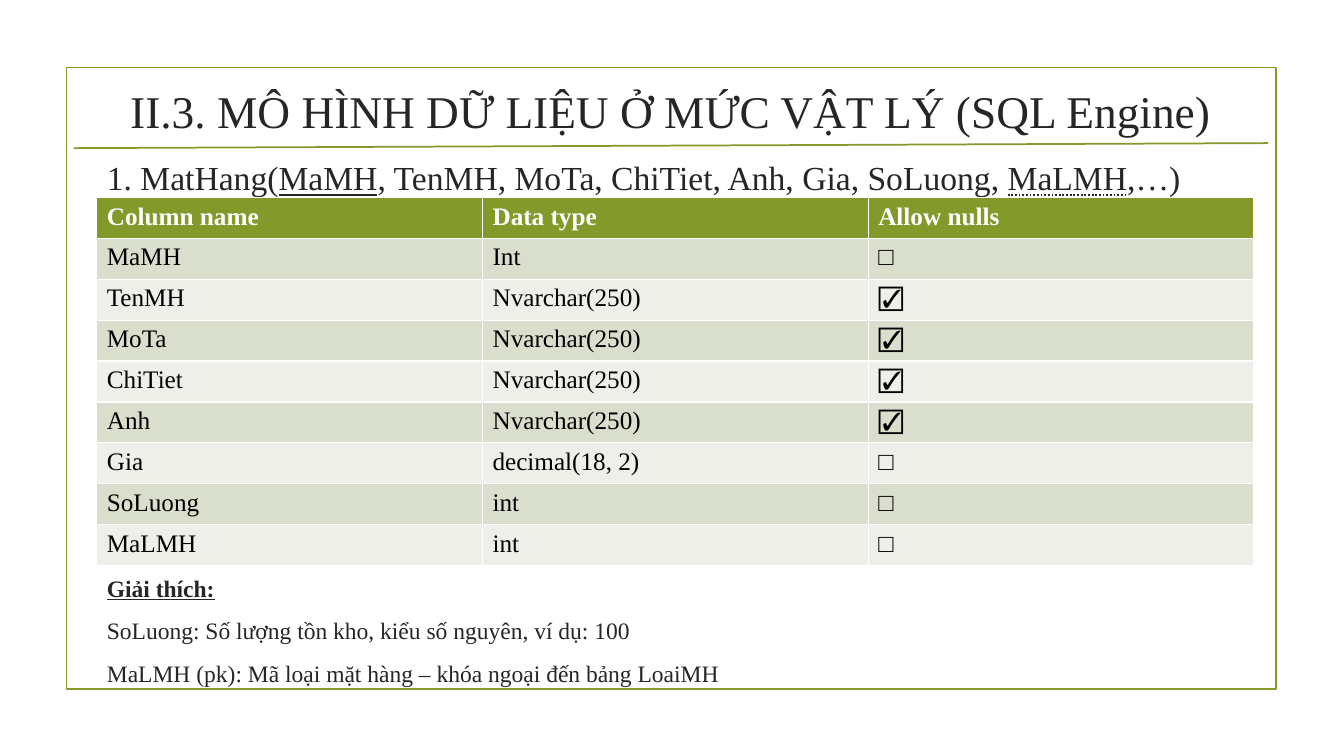
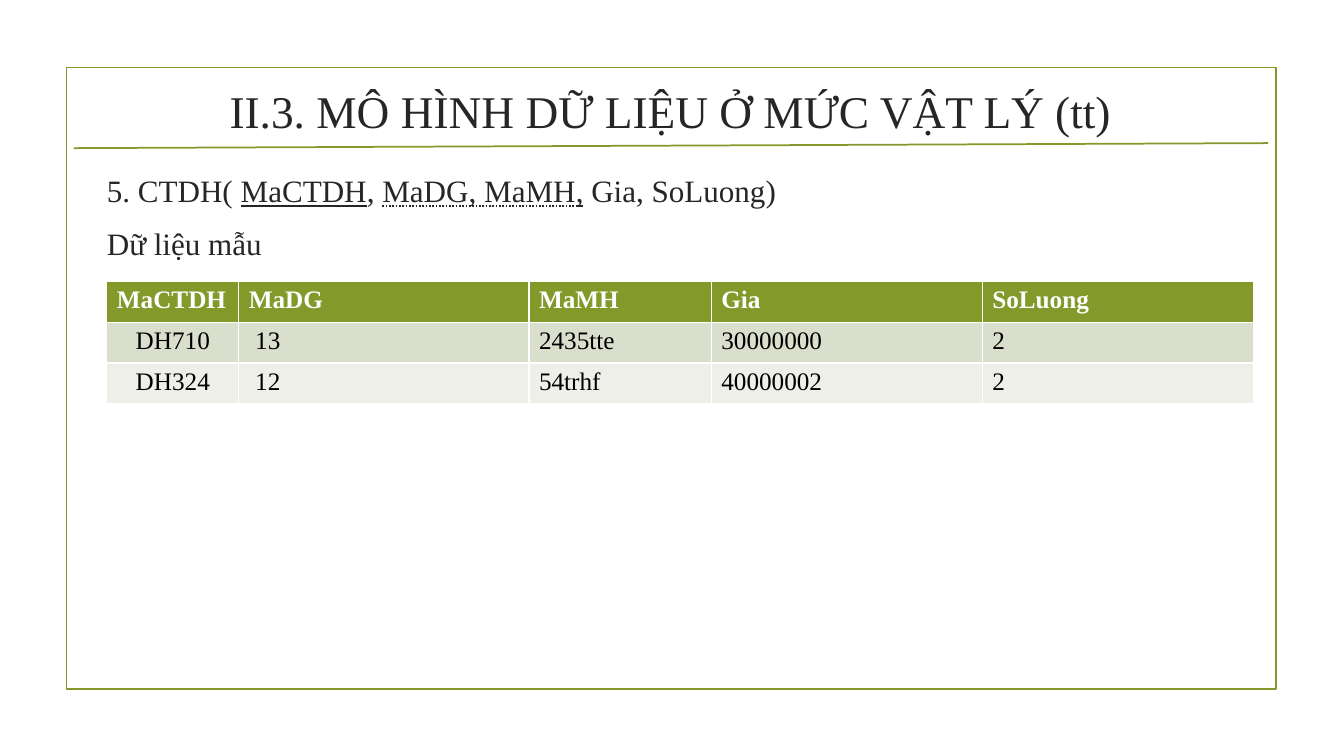
from lxml.etree import SubElement
from pptx import Presentation
from pptx.dml.color import RGBColor
from pptx.enum.shapes import MSO_CONNECTOR, MSO_SHAPE
from pptx.enum.text import MSO_ANCHOR, MSO_AUTO_SIZE, MSO_UNDERLINE, PP_ALIGN
from pptx.oxml.ns import qn
from pptx.util import Inches, Pt

COLOURS = {
    "accent": "83992A",
    "text": "262626",
    "header_text": "FFFFFF",
    "cell_text": "000000",
    "odd_row": "D9DECD",
    "even_row": "EDEFE8",
}
FONT = "Times New Roman"
TITLE_SIZE, TABLE_SIZE = 32.4, 18
LINE_WIDTH = Pt(1.25)
ROW_HEIGHT = 5.41
BODY_LEFT, BODY_WIDTH = 7.2, 86.1
SOLID, DOTTED = MSO_UNDERLINE.SINGLE_LINE, MSO_UNDERLINE.DOTTED_LINE
TITLE_AND_CONTENT, TWO_CONTENT = 1, 3


def colour(name):
    return RGBColor.from_string(COLOURS[name])


class Deck:
    """Shared style and the current slide; lengths are percentages of the slide."""

    def __init__(self):
        self.presentation = Presentation()
        self.presentation.slide_width = Inches(13.33)
        self.presentation.slide_height = Inches(7.5)
        self.slide = None

    def across(self, share):
        return round(self.presentation.slide_width * share / 100)

    def down(self, share):
        return round(self.presentation.slide_height * share / 100)

    def box(self, left, top, width, height):
        return self.across(left), self.down(top), self.across(width), self.down(height)

    def place(self, shape, *box):
        shape.left, shape.top, shape.width, shape.height = self.box(*box)

    def style_run(self, run, size, colour_name, bold=False, underline=None):
        font = run.font
        font.name, font.size, font.bold = FONT, Pt(size), bold
        font.color.rgb = colour(colour_name)
        if underline:
            font.underline = underline

    def add_slide(self, layout, title):
        self.slide = self.presentation.slides.add_slide(
            self.presentation.slide_layouts[layout])
        shape = self.slide.shapes.title
        self.place(shape, 5.4, 10.13, 88.95, 8.93)
        text_frame = shape.text_frame
        text_frame.text = title
        text_frame.auto_size = MSO_AUTO_SIZE.NONE
        text_frame.vertical_anchor = MSO_ANCHOR.MIDDLE
        paragraph = text_frame.paragraphs[0]
        paragraph.alignment = PP_ALIGN.CENTER
        self.style_run(paragraph.runs[0], TITLE_SIZE, "text")

    def add_master_frame(self):
        """Draw the frame and title rule, then move them to the slide master."""
        shapes = self.slide.shapes
        frame = shapes.add_shape(MSO_SHAPE.RECTANGLE, *self.box(4.95, 8.93, 90, 82.27))
        frame.shadow.inherit = False
        frame.fill.background()
        rule = shapes.add_connector(
            MSO_CONNECTOR.STRAIGHT, self.across(5.48), self.down(19.6),
            self.across(94.35), self.down(18.93))
        for shape in (frame, rule):
            shape.line.color.rgb = colour("accent")
            shape.line.width = LINE_WIDTH
        SubElement(rule.element.spPr, qn("a:effectLst"))
        master_tree = self.presentation.slide_master.shapes.element
        for shape in (frame, rule):
            master_tree.append(shape.element)

    def add_body(self, index, top, height, size, paragraphs):
        """Fill a body placeholder; each paragraph is a list of (text, run style)."""
        shape = self.slide.placeholders[index]
        self.place(shape, BODY_LEFT, top, BODY_WIDTH, height)
        text_frame = shape.text_frame
        text_frame.auto_size = MSO_AUTO_SIZE.NONE
        for number, runs in enumerate(paragraphs):
            paragraph = text_frame.add_paragraph() if number else text_frame.paragraphs[0]
            properties = paragraph._p.get_or_add_pPr()
            properties.set("marL", "0")
            properties.set("indent", "0")
            SubElement(properties, qn("a:buNone"))
            paragraph.space_before = Pt(size / 4 if number else 0)
            paragraph.space_after = Pt(6)
            for text, style in runs:
                run = paragraph.add_run()
                run.text = text
                self.style_run(run, size, "text", **style)

    def add_table(self, left, top, width, weights, rows, centre_first=False):
        """Column widths follow the weights; the first row is the header."""
        table = self.slide.shapes.add_table(
            len(rows), len(weights),
            *self.box(left, top, width, ROW_HEIGHT * len(rows))).table
        for column, weight in zip(table.columns, weights):
            column.width = self.across(width * weight / sum(weights))
        for row_index, row in enumerate(rows):
            header = row_index == 0
            fill = "accent" if header else "odd_row" if row_index % 2 else "even_row"
            for column_index, text in enumerate(row):
                cell = table.cell(row_index, column_index)
                cell.fill.solid()
                cell.fill.fore_color.rgb = colour(fill)
                cell.text_frame.text = text
                paragraph = cell.text_frame.paragraphs[0]
                if centre_first and column_index == 0 and not header:
                    paragraph.alignment = PP_ALIGN.CENTER
                self.style_run(paragraph.runs[0], TABLE_SIZE,
                               "header_text" if header else "cell_text", bold=header)


def add_item_table_slide(deck):
    deck.add_slide(TWO_CONTENT, "II.3. MÔ HÌNH DỮ LIỆU Ở MỨC VẬT LÝ (SQL Engine)")
    deck.add_body(1, 20.13, 8, 24, [[
        ("1. MatHang(", {}),
        ("MaMH", {"underline": SOLID}),
        (", TenMH, MoTa, ChiTiet, Anh, Gia, SoLuong, ", {}),
        ("MaLMH", {"underline": DOTTED}),
        (",…)", {}),
    ]])
    deck.add_body(2, 75.2, 15, 16.8, [
        [("Giải thích:", {"bold": True, "underline": SOLID})],
        [("SoLuong: Số lượng tồn kho, kiểu số nguyên, ví dụ: 100", {})],
        [("MaLMH (pk): Mã loại mặt hàng – khóa ngoại đến bảng LoaiMH", {})],
    ])
    deck.add_table(BODY_LEFT, 26.13, BODY_WIDTH, [1, 1, 1], [
        ("Column name", "Data type", "Allow nulls"),
        ("MaMH", "Int", "□"),
        ("TenMH", "Nvarchar(250)", "☑"),
        ("MoTa", "Nvarchar(250)", "☑"),
        ("ChiTiet", "Nvarchar(250)", "☑"),
        ("Anh", "Nvarchar(250)", "☑"),
        ("Gia", "decimal(18, 2)", "□"),
        ("SoLuong", "int", "□"),
        ("MaLMH", "int", "□"),
    ])


def add_order_detail_slide(deck):
    deck.add_slide(TITLE_AND_CONTENT, "II.3. MÔ HÌNH DỮ LIỆU Ở MỨC VẬT LÝ (tt)")
    deck.add_body(1, 22, 13.87, 22.2, [
        [
            ("5. CTDH( ", {}),
            ("MaCTDH", {"underline": SOLID}),
            (", ", {}),
            ("MaDG, MaMH", {"underline": DOTTED}),
            (",", {"underline": SOLID}),
            (" Gia, SoLuong)", {}),
        ],
        [("Dữ liệu mẫu", {})],
    ])
    deck.add_table(7.95, 37.2, 85.3, [1.31, 2.88, 1.81, 2.69, 2.69], [
        ("MaCTDH", "MaDG", "MaMH", "Gia", "SoLuong"),
        ("DH710", " 13", "2435tte", "30000000", "2"),
        ("DH324", " 12", "54trhf", "40000002", "2"),
    ], centre_first=True)


def main():
    deck = Deck()
    add_item_table_slide(deck)
    deck.add_master_frame()
    add_order_detail_slide(deck)
    deck.presentation.save("out.pptx")


if __name__ == "__main__":
    main()
